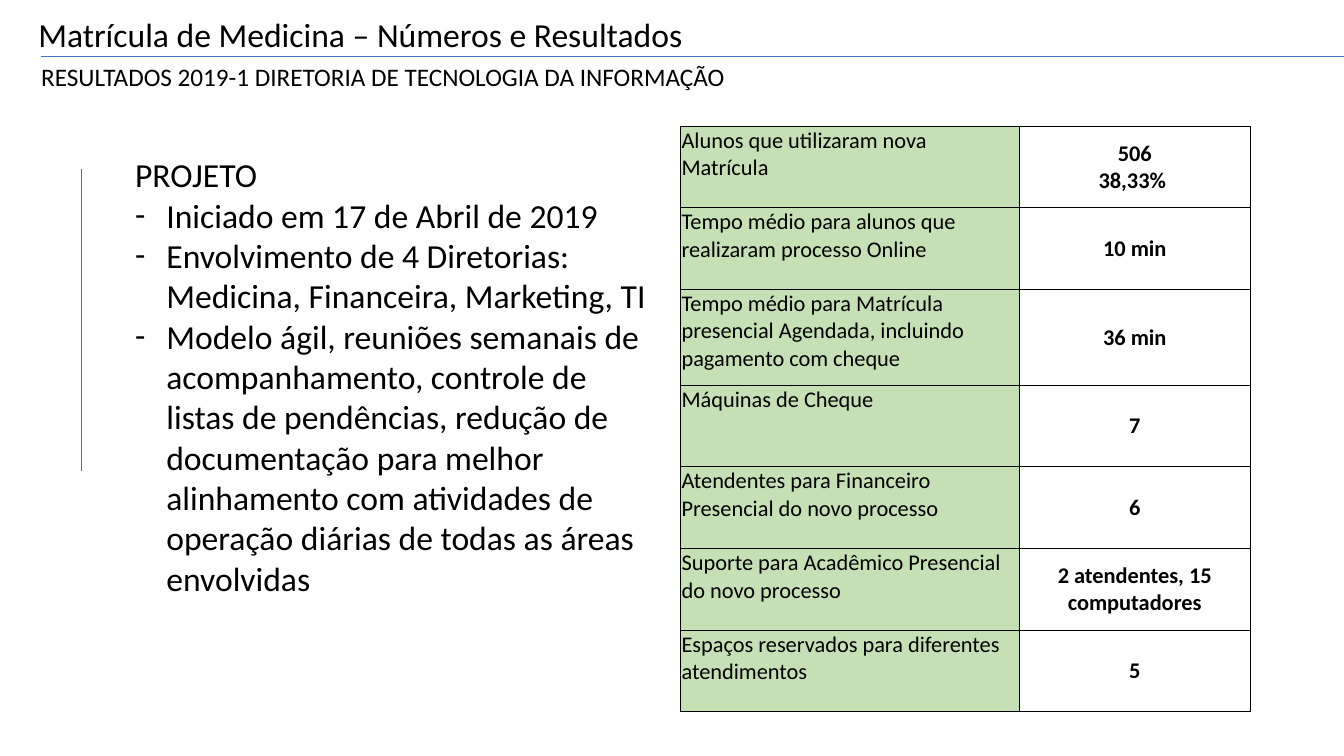
"""Builds the slide with the enrolment project notes and results table."""
from lxml import etree
from pptx import Presentation
from pptx.dml.color import RGBColor
from pptx.enum import shapes, text
from pptx.oxml import ns
from pptx.util import Inches, Pt

BLACK = RGBColor(0x00, 0x00, 0x00)
BLUE = RGBColor(0x44, 0x72, 0xC4)
GREEN = RGBColor(0xC5, 0xE0, 0xB4)

TITLE = "Matrícula de Medicina – Números e Resultados"
SUBTITLE = "RESULTADOS 2019-1 DIRETORIA DE TECNOLOGIA DA INFORMAÇÃO"
PROJECT = [
    "PROJETO",
    "Iniciado em 17 de Abril de 2019",
    "Envolvimento de 4 Diretorias: Medicina, Financeira, Marketing, TI",
    "Modelo ágil, reuniões semanais de acompanhamento, controle de listas de "
    "pendências, redução de documentação para melhor alinhamento com "
    "atividades de operação diárias de todas as áreas envolvidas",
]
RESULTS = [
    ("Alunos que utilizaram nova Matrícula", "506\n38,33% "),
    ("Tempo médio para alunos que realizaram processo Online", "10 min"),
    ("Tempo médio para Matrícula presencial Agendada, incluindo pagamento com cheque", "36 min"),
    ("Máquinas de Cheque", "7"),
    ("Atendentes para Financeiro Presencial do novo processo", "6"),
    ("Suporte para Acadêmico Presencial do novo processo", "2 atendentes, 15 computadores"),
    ("Espaços reservados para diferentes atendimentos", "5"),
]


def add_span(para, words, size, bold=False):
    span = para.add_run()
    span.text = words
    span.font.name = "Calibri"
    span.font.size = Pt(size)
    span.font.bold = bold
    span.font.color.rgb = BLACK


def place(box, left, top, width, height):
    box.left, box.top = Inches(left), Inches(top)
    box.width, box.height = Inches(width), Inches(height)


deck = Presentation()
deck.slide_width, deck.slide_height = Inches(13.33), Inches(7.5)
page = deck.slides.add_slide(deck.slide_layouts[1])

for x1, y1, x2, y2 in [(0.41, 0.56, 13.33, 0.56), (0.81, 1.68, 0.81, 4.67)]:
    rule = page.shapes.add_connector(
        shapes.MSO_CONNECTOR.STRAIGHT, Inches(x1), Inches(y1), Inches(x2), Inches(y2))
    rule.line.color.rgb = BLUE
    rule.line.width = Pt(0.5)
    etree.SubElement(rule._element.spPr, ns.qn("a:effectLst"))

title = page.shapes.title
place(title, 0.28, 0.09, 6.72, 0.5)
subtitle = page.shapes.add_textbox(Inches(0.31), Inches(0.56), Inches(7.22), Inches(0.4))
for box, words, size in [(title, TITLE, 24), (subtitle, SUBTITLE, 18)]:
    frame = box.text_frame
    frame.word_wrap = False
    frame.auto_size = text.MSO_AUTO_SIZE.NONE
    frame.vertical_anchor = text.MSO_ANCHOR.TOP
    frame.paragraphs[0].alignment = text.PP_ALIGN.LEFT
    add_span(frame.paragraphs[0], words, size)

project = page.placeholders[1]
place(project, 1.24, 1.48, 5.34, 5.15)
frame = project.text_frame
frame.word_wrap = True
frame.auto_size = text.MSO_AUTO_SIZE.NONE
for index, words in enumerate(PROJECT):
    para = frame.add_paragraph() if index else frame.paragraphs[0]
    para.space_before = Pt(0)
    add_span(para, words, 24)
    props = para._p.get_or_add_pPr()
    indent = Inches(0.31) if index else 0
    props.set("marL", str(indent))
    props.set("indent", str(-indent))
    if index:
        etree.SubElement(props, ns.qn("a:buFont"), typeface="Calibri")
        etree.SubElement(props, ns.qn("a:buChar"), char="-")
    else:
        etree.SubElement(props, ns.qn("a:buNone"))

table = page.shapes.add_table(
    len(RESULTS), 2, Inches(6.75), Inches(1.25), Inches(5.65), Inches(5.81)).table
table.first_row = table.horz_banding = False
table.columns[0].width, table.columns[1].width = Inches(3.36), Inches(2.29)
for row, entry in enumerate(RESULTS):
    table.rows[row].height = Inches(0.95 if row == 2 else 0.81)
    for column, words in enumerate(entry):
        cell = table.cell(row, column)
        cell.margin_left = cell.margin_right = cell.margin_top = Inches(0.01)
        cell.margin_bottom = 0
        para = cell.text_frame.paragraphs[0]
        for number, line in enumerate(words.split("\n")):
            if number:
                para.add_line_break()
            add_span(para, line, 16, bold=column == 1)
        for side in ("lnL", "lnR", "lnT", "lnB"):
            border = etree.SubElement(
                cell._tc.get_or_add_tcPr(), ns.qn(f"a:{side}"), w=str(Pt(0.5)))
            paint = etree.SubElement(border, ns.qn("a:solidFill"))
            etree.SubElement(paint, ns.qn("a:srgbClr"), val=str(BLACK))
        if column:
            para.alignment = text.PP_ALIGN.CENTER
            cell.vertical_anchor = text.MSO_ANCHOR.MIDDLE
            cell.fill.background()
        else:
            cell.fill.solid()
            cell.fill.fore_color.rgb = GREEN

deck.save("out.pptx")
